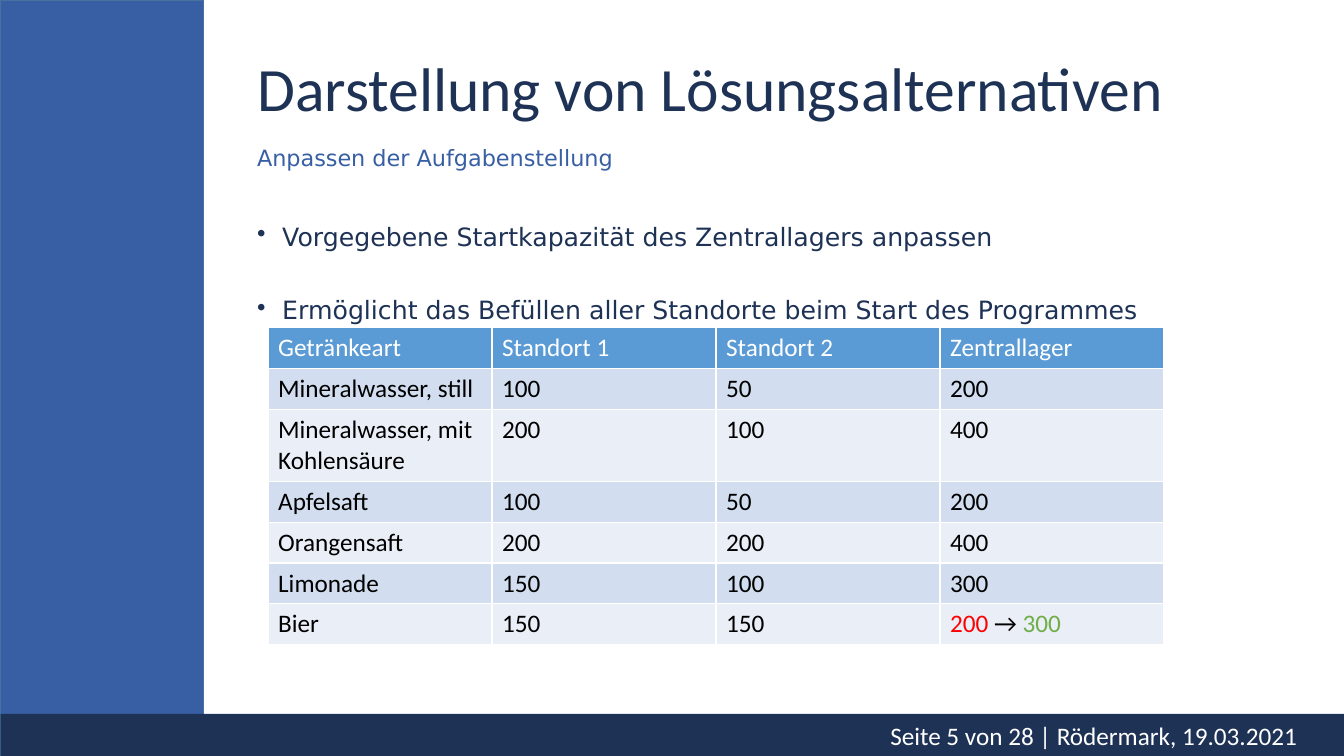
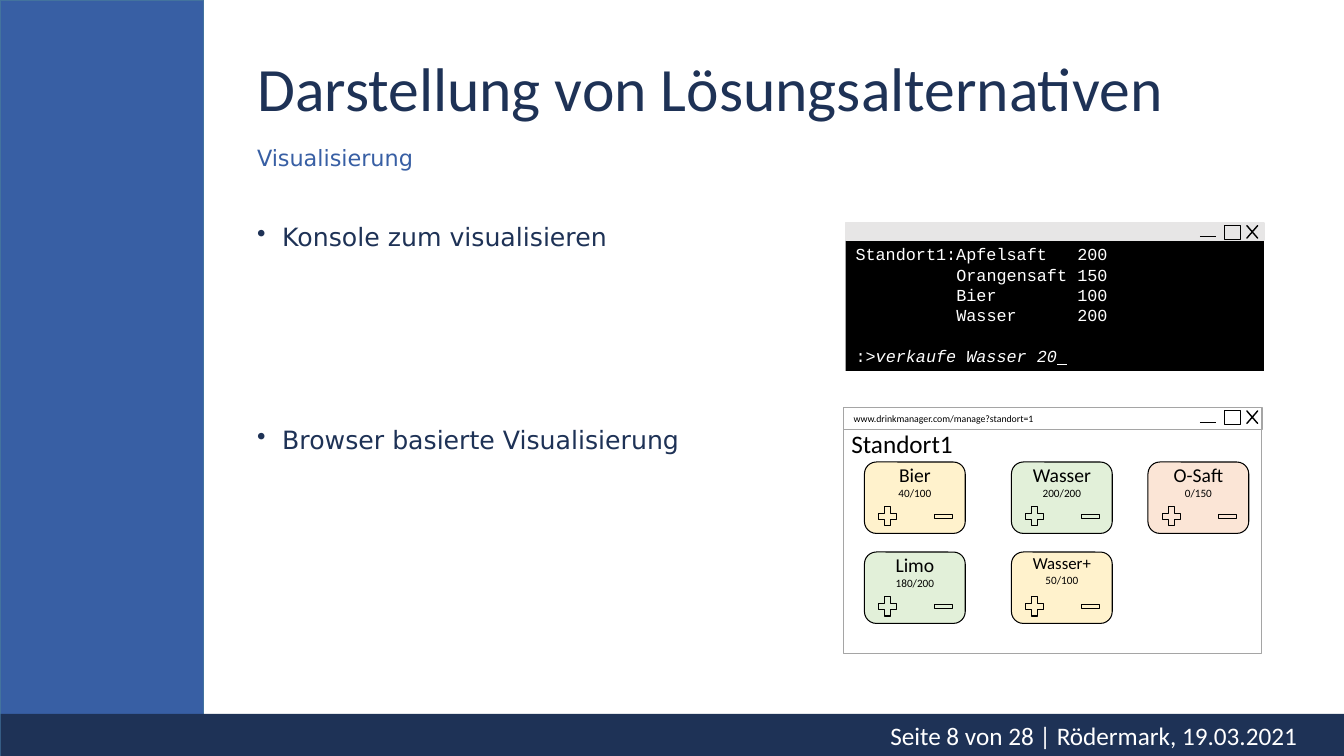
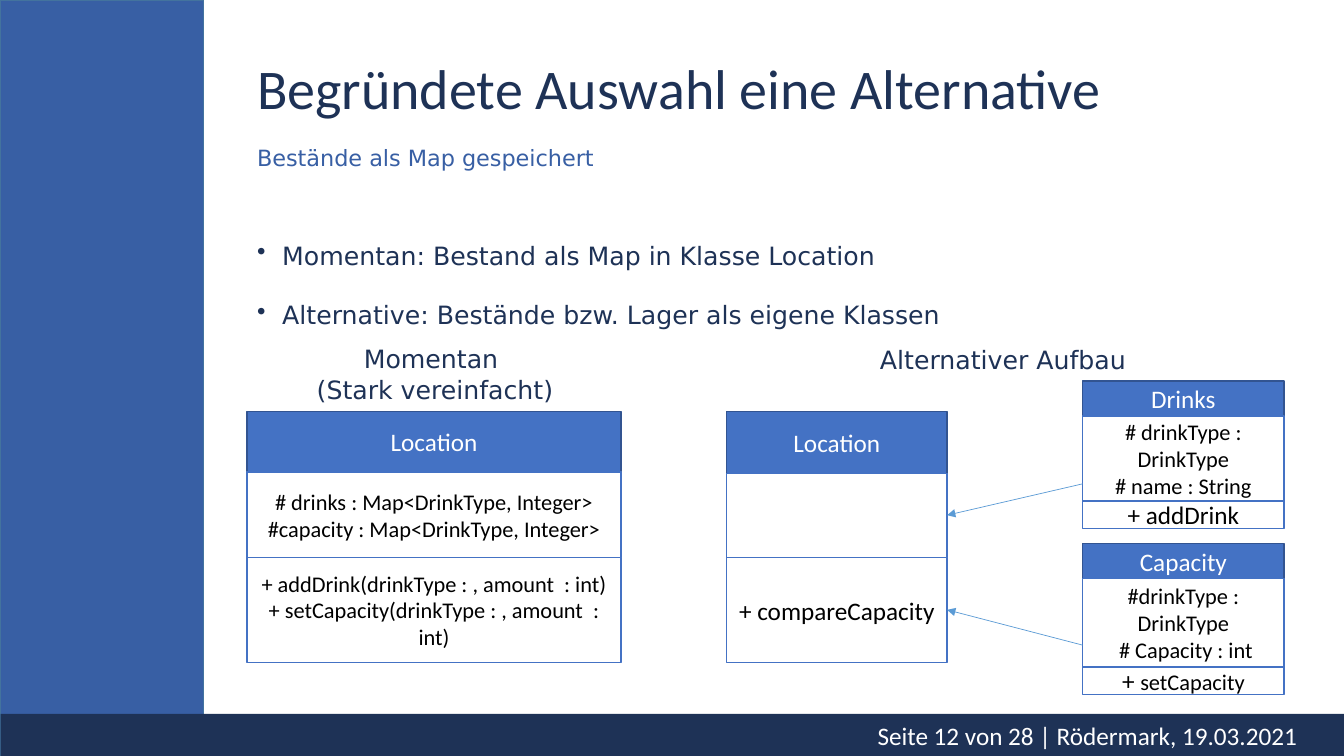
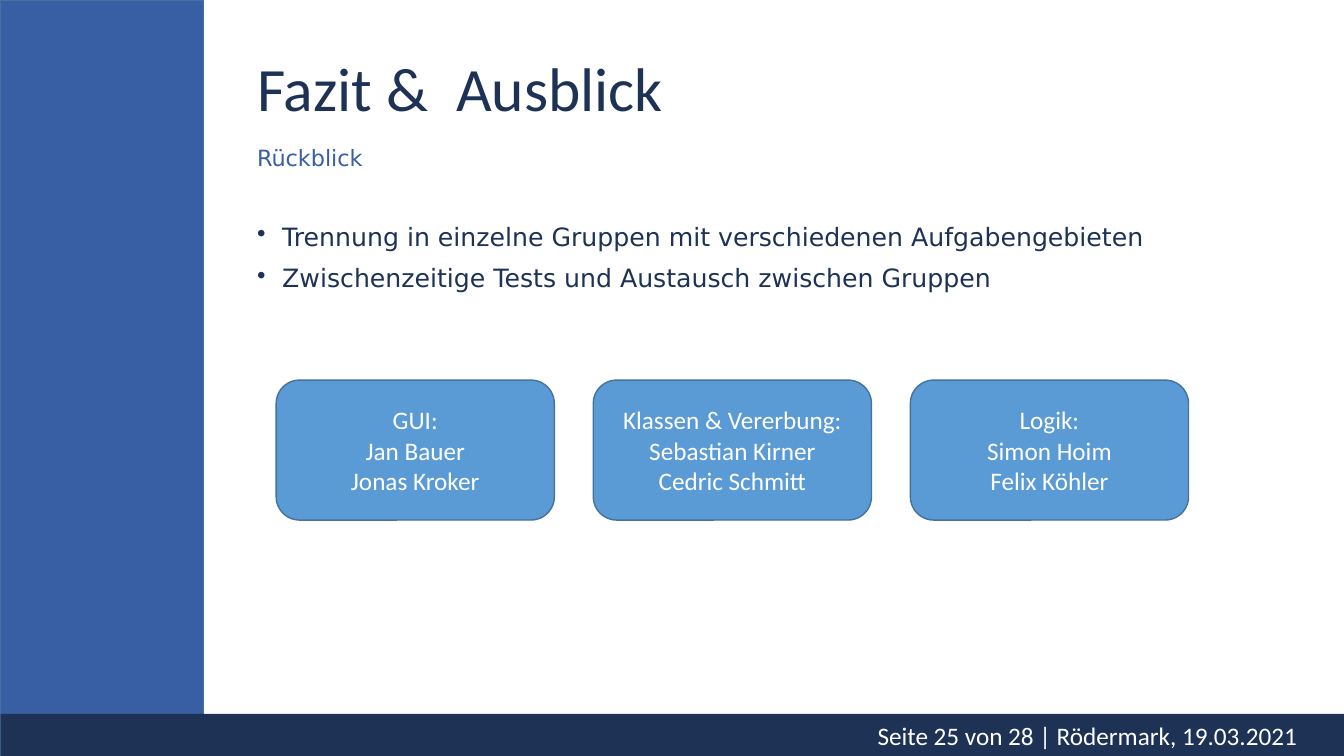
from dataclasses import dataclass
from typing import Any, NamedTuple

from pptx import Presentation
from pptx.dml.color import RGBColor
from pptx.enum.shapes import MSO_CONNECTOR, MSO_SHAPE
from pptx.enum.text import MSO_ANCHOR, MSO_AUTO_SIZE, PP_ALIGN
from pptx.oxml.ns import qn
from pptx.oxml.xmlchemy import OxmlElement
from pptx.util import Pt

RECT, ROUND = MSO_SHAPE.RECTANGLE, MSO_SHAPE.ROUNDED_RECTANGLE
PROCESS, CROSS = MSO_SHAPE.FLOWCHART_PROCESS, MSO_SHAPE.MATH_MULTIPLY
PLUS, MINUS = MSO_SHAPE.MATH_PLUS, MSO_SHAPE.MATH_MINUS
LEFT, CENTER, RIGHT = PP_ALIGN.LEFT, PP_ALIGN.CENTER, PP_ALIGN.RIGHT
TOP, MIDDLE = MSO_ANCHOR.TOP, MSO_ANCHOR.MIDDLE
STRAIGHT, FIXED = MSO_CONNECTOR.STRAIGHT, MSO_AUTO_SIZE.NONE

# Colours
NAVY = RGBColor(0x1E, 0x32, 0x56)
BLUE = RGBColor(0x38, 0x5F, 0xA4)
SKY = RGBColor(0x5B, 0x9B, 0xD5)
STEEL = RGBColor(0x43, 0x73, 0x9E)
ROYAL = RGBColor(0x44, 0x72, 0xC4)
EDGE = RGBColor(0x32, 0x54, 0x91)
ICE = RGBColor(0xD2, 0xDE, 0xEF)
MIST = RGBColor(0xEA, 0xEF, 0xF7)
WHITE = RGBColor(0xFF, 0xFF, 0xFF)
BLACK = RGBColor(0x00, 0x00, 0x00)
SILVER = RGBColor(0xE7, 0xE6, 0xE6)
GRAY = RGBColor(0xA5, 0xA5, 0xA5)
RED = RGBColor(0xFF, 0x00, 0x00)
GREEN = RGBColor(0x70, 0xAD, 0x47)
CREAM = RGBColor(0xFF, 0xF2, 0xCC)
MINT = RGBColor(0xE2, 0xF0, 0xD9)
PEACH = RGBColor(0xFB, 0xE5, 0xD6)

SANS, MONO, BODY = "Calibri", "Courier New", "DejaVu Sans"


def font(size: float, rgb: RGBColor, name: str = SANS) -> dict[str, Any]:
    return {"size": Pt(size), "rgb": rgb, "name": name}


# Text styles
SUB = font(16, BLUE, BODY)
POINT = font(18, NAVY, BODY)
LIGHT, DARK = font(18, WHITE), font(18, BLACK)
SMALL = font(16, BLACK)
CODE = font(12, WHITE, MONO)


class Run(NamedTuple):
    text: str
    form: dict[str, Any]


class Box(NamedTuple):
    left: float
    top: float
    width: float
    height: float


@dataclass
class Page:
    number: int
    title: str
    sub: str
    points: list[str]
    gap: float = 10
    pitch: float = 0.9
    size: float = 44


@dataclass
class Tile:
    col: int
    row: int
    name: str
    stock: str
    fill: RGBColor
    size: float = 14


@dataclass
class Field:
    height: float
    lines: list
    form: dict[str, Any]


@dataclass
class Model:
    left: float
    top: float
    width: float
    fields: list[Field]


PAGES = [
    Page(5, "Darstellung von Lösungsalternativen", "Anpassen der Aufgabenstellung",
         ["Vorgegebene Startkapazität des Zentrallagers anpassen",
          "Ermöglicht das Befüllen aller Standorte beim Start des Programmes"], gap=33),
    Page(8, "Darstellung von Lösungsalternativen", "Visualisierung",
         ["Konsole zum visualisieren", "Browser basierte Visualisierung"], gap=125.4),
    Page(12, "Begründete Auswahl eine Alternative", "Bestände als Map gespeichert",
         ["Momentan: Bestand als Map in Klasse Location",
          "Alternative: Bestände bzw. Lager als eigene Klassen"], pitch=1.5, size=40),
    Page(25, "Fazit &  Ausblick", "Rückblick",
         ["Trennung in einzelne Gruppen mit verschiedenen Aufgabengebieten",
          "Zwischenzeitige Tests und Austausch zwischen Gruppen"]),
]

STOCK = [
    ["Getränkeart", "Standort 1", "Standort 2", "Zentrallager"],
    ["Mineralwasser, still", "100", "50", "200"],
    ["Mineralwasser, mit Kohlensäure", "200", "100", "400"],
    ["Apfelsaft", "100", "50", "200"],
    ["Orangensaft", "200", "200", "400"],
    ["Limonade", "150", "100", "300"],
    ["Bier", "150", "150",
     (Run("200 ", {"rgb": RED}), Run("→ ", {}), Run("300", {"rgb": GREEN}))],
]

TILES = [
    Tile(0, 0, "Bier", "40/100", CREAM),
    Tile(1, 0, "Wasser", "200/200", MINT),
    Tile(2, 0, "O-Saft", "0/150", PEACH),
    Tile(0, 1, "Limo", "180/200", MINT),
    Tile(1, 1, "Wasser+", "50/100", CREAM, 12),
]

MODELS = [
    Model(176.5, 293.8, 267, [
        Field(43.2, ["Location"], LIGHT),
        Field(61.2, ["# drinks : Map<DrinkType, Integer>",
                     "#capacity : Map<DrinkType, Integer>"], SMALL),
        Field(75, ["+ addDrink(drinkType : , amount  : int)",
                   "+ setCapacity(drinkType : , amount  : int)"], SMALL)]),
    Model(519, 293.8, 157.5, [
        Field(44.6, ["Location"], LIGHT),
        Field(59.8, [], SMALL),
        Field(75, ["+ compareCapacity"], DARK)]),
    Model(773.3, 272, 144, [
        Field(25.2, ["Drinks"], LIGHT),
        Field(60.8, ["# drinkType : DrinkType", "# name : String"], SMALL),
        Field(19.5, ["+ addDrink"], DARK)]),
    Model(773.3, 388.2, 144, [
        Field(25.2, ["Capacity"], LIGHT),
        Field(63, ["#drinkType : DrinkType", " # Capacity : int"], SMALL),
        Field(19.5, [(Run("+ ", {}), Run("setCapacity", SMALL))], DARK)]),
]

TEAMS = [
    ["GUI:", "Jan Bauer", "Jonas Kroker"],
    ["Klassen & Vererbung:", "Sebastian Kirner", "Cedric Schmitt"],
    ["Logik:", "Simon Hoim", "Felix Köhler"],
]


# Drawing helpers
def write(frame, lines: list, form: dict[str, Any], anchor=TOP, **para) -> None:
    frame.word_wrap = True
    frame.auto_size = FIXED
    frame.vertical_anchor = anchor
    for i, line in enumerate(lines):
        item = frame.add_paragraph() if i else frame.paragraphs[0]
        for key, val in para.items():
            setattr(item, key, val)
        for text, extra in [Run(line, {})] if isinstance(line, str) else line:
            run = item.add_run()
            run.text = text
            for key, val in (form | extra).items():
                setattr(run.font.color if key == "rgb" else run.font, key, val)


def label(slide, box: Box, lines: list, form: dict[str, Any], anchor=TOP, **para):
    frame = slide.shapes.add_textbox(*map(Pt, box)).text_frame
    write(frame, lines, form, anchor, **para)
    return frame


def draw(slide, kind, box: Box, fill=None, line=None, width: float = 0.75):
    shape = slide.shapes.add_shape(kind, *map(Pt, box))
    shape.shadow.inherit = False
    for paint, rgb in ((shape.fill, fill), (shape.line.fill, line)):
        if rgb is None:
            paint.background()
        else:
            paint.solid()
            paint.fore_color.rgb = rgb
    if line is not None:
        shape.line.width = Pt(width)
    return shape


def link(slide, ends: tuple, rgb: RGBColor, arrow: bool = False) -> None:
    line = slide.shapes.add_connector(STRAIGHT, *map(Pt, ends))
    line.line.color.rgb = rgb
    line.line.width = Pt(0.5)
    props = line.element.spPr
    if arrow:
        tip = OxmlElement("a:tailEnd")
        tip.set("type", "triangle")
        props.find(qn("a:ln")).append(tip)
    props.append(OxmlElement("a:effectLst"))


# Bands, title, points and footer
def bands(slide, layout) -> None:
    side = draw(slide, RECT, Box(0, 0, 145.5, 540), BLUE, STEEL, 1)
    foot = draw(slide, RECT, Box(0.5, 510, 959.5, 30), NAVY)
    for band in (side, foot):
        layout.shapes.element.append(band.element)


def start(slide, page: Page) -> None:
    title = slide.shapes.title
    spot = Box(176.5, 32.4, 758, 65.5)
    for key, val in spot._asdict().items():
        setattr(title, key, Pt(val))
    write(title.text_frame, [page.title], font(page.size, NAVY), MIDDLE,
          alignment=LEFT, line_spacing=0.9)
    label(slide, Box(176.5, 101.5, 758, 43), [page.sub], SUB,
          line_spacing=0.9, space_before=Pt(10))
    frame = label(slide, Box(176.5, 157, 758, 334), page.points, POINT,
                  line_spacing=page.pitch, space_before=Pt(page.gap))
    frame.paragraphs[0].space_before = Pt(10)
    for item in frame.paragraphs:
        props = item._p.get_or_add_pPr()
        props.set("marL", str(Pt(18)))
        props.set("indent", str(Pt(-18)))
        dot = OxmlElement("a:buChar")
        dot.set("char", "•")
        props.append(dot)
    label(slide, Box(593.3, 510.5, 340.5, 29.5),
          [f"Seite {page.number} von 28 | Rödermark, 19.03.2021"], LIGHT,
          MIDDLE, alignment=RIGHT)


# Stock table
def stock(slide) -> None:
    rows, cols = len(STOCK), len(STOCK[0])
    height = 29.2
    table = slide.shapes.add_table(
        rows, cols, *map(Pt, (191.5, 234.2, 160 * cols, height * rows))).table
    for i, row in enumerate(STOCK):
        table.rows[i].height = Pt(height)
        for j, text in enumerate(row):
            cell = table.cell(i, j)
            cell.fill.solid()
            cell.fill.fore_color.rgb = (ICE if i % 2 else MIST) if i else SKY
            form = (DARK if i else LIGHT) | {"bold": False}
            write(cell.text_frame, [text], form)


# Console and browser windows
def controls(slide, top: float) -> None:
    link(slide, (857, top + 12, 868.5, top + 12), BLACK)
    draw(slide, RECT, Box(875, top + 4, 11, 10), None, BLACK)
    cross = draw(slide, CROSS, Box(887, top, 15, 17.3), SKY, BLACK, 1)
    cross.adjustments[0] = 0


def console(slide) -> None:
    pane = draw(slide, RECT, Box(604, 170.6, 298.8, 94.4), BLACK)
    prompt = (Run(":>", {}), Run("verkaufe Wasser 20", {"italic": True}),
              Run(" ", {"underline": True}))
    lines = ["Standort1:Apfelsaft\t200", "\tOrangensaft\t150", "\tBier\t100",
             "\tWasser\t200", prompt]
    write(pane.text_frame, lines, CODE, alignment=LEFT, line_spacing=Pt(14.5))
    pane.text_frame.paragraphs[-1].space_before = Pt(14.5)
    for item in pane.text_frame.paragraphs:
        tabs = OxmlElement("a:tabLst")
        for stop in (72, 158.4):
            tab = OxmlElement("a:tab")
            tab.set("pos", str(Pt(stop)))
            tab.set("algn", "l")
            tabs.append(tab)
        item._p.get_or_add_pPr().append(tabs)
    draw(slide, RECT, Box(604, 159.2, 298.8, 12.2), SILVER, SILVER, 1)
    controls(slide, 157)


def browser(slide) -> None:
    left, top, width = 602.6, 290.9, 298.8
    draw(slide, RECT, Box(left, top, width, 175.7), None, GRAY)
    bar = draw(slide, RECT, Box(left, top, width, 15.8), WHITE, GRAY, 1)
    write(bar.text_frame, ["www.drinkmanager.com/manage?standort=1"],
          font(7, BLACK), alignment=LEFT)
    controls(slide, 289.4)
    label(slide, Box(601, 302.6, 94.5, 29), ["Standort1"], DARK)
    for tile in TILES:
        x, y = (617.5, 722.5, 820)[tile.col], 330 + 64.3 * tile.row
        draw(slide, ROUND, Box(x, y, 72, 51), tile.fill, BLACK)
        label(slide, Box(x + 6.8, y - 3, 58.5, 34),
              [tile.name, (Run(tile.stock, {"size": Pt(8)}),)],
              font(tile.size, BLACK), alignment=CENTER)
        draw(slide, PLUS, Box(x + 8, y + 29.5, 17.3, 18.7), None, BLACK)
        draw(slide, MINUS, Box(x + 48, y + 34, 17.3, 10), None, BLACK)


def windows(slide) -> None:
    console(slide)
    browser(slide)


# Class diagrams
def classes(slide) -> None:
    for model in MODELS:
        top = model.top
        for i, field in enumerate(model.fields):
            fill, line = (WHITE, ROYAL) if i else (ROYAL, EDGE)
            box = Box(model.left, top, model.width, field.height)
            shape = draw(slide, PROCESS, box, fill, line, 1)
            write(shape.text_frame, field.lines, field.form, MIDDLE, alignment=CENTER)
            top += field.height
    for near, far in ((345.6, 368), (460.8, 435.6)):
        link(slide, (773.3, near, 676.5, far), SKY, arrow=True)
    label(slide, Box(170, 242, 281.5, 51), ["Momentan ", "(Stark vereinfacht)"],
          POINT, alignment=CENTER)
    label(slide, Box(516, 242.5, 401, 29), ["Alternativer Aufbau"],
          POINT, alignment=CENTER)


# Team cards
def teams(slide) -> None:
    for i, names in enumerate(TEAMS):
        card = draw(slide, ROUND, Box(197.3 + 226.5 * i, 271.5, 198.7, 100),
                    SKY, STEEL, 1)
        write(card.text_frame, names, LIGHT, MIDDLE, alignment=CENTER)


def main() -> None:
    prs = Presentation()
    prs.slide_width, prs.slide_height = Pt(960), Pt(540)
    layout = prs.slide_layouts[5]
    for i, (page, fill) in enumerate(zip(PAGES, (stock, windows, classes, teams))):
        slide = prs.slides.add_slide(layout)
        if i == 0:
            bands(slide, layout)
        start(slide, page)
        fill(slide)
    prs.save("out.pptx")


if __name__ == "__main__":
    main()
